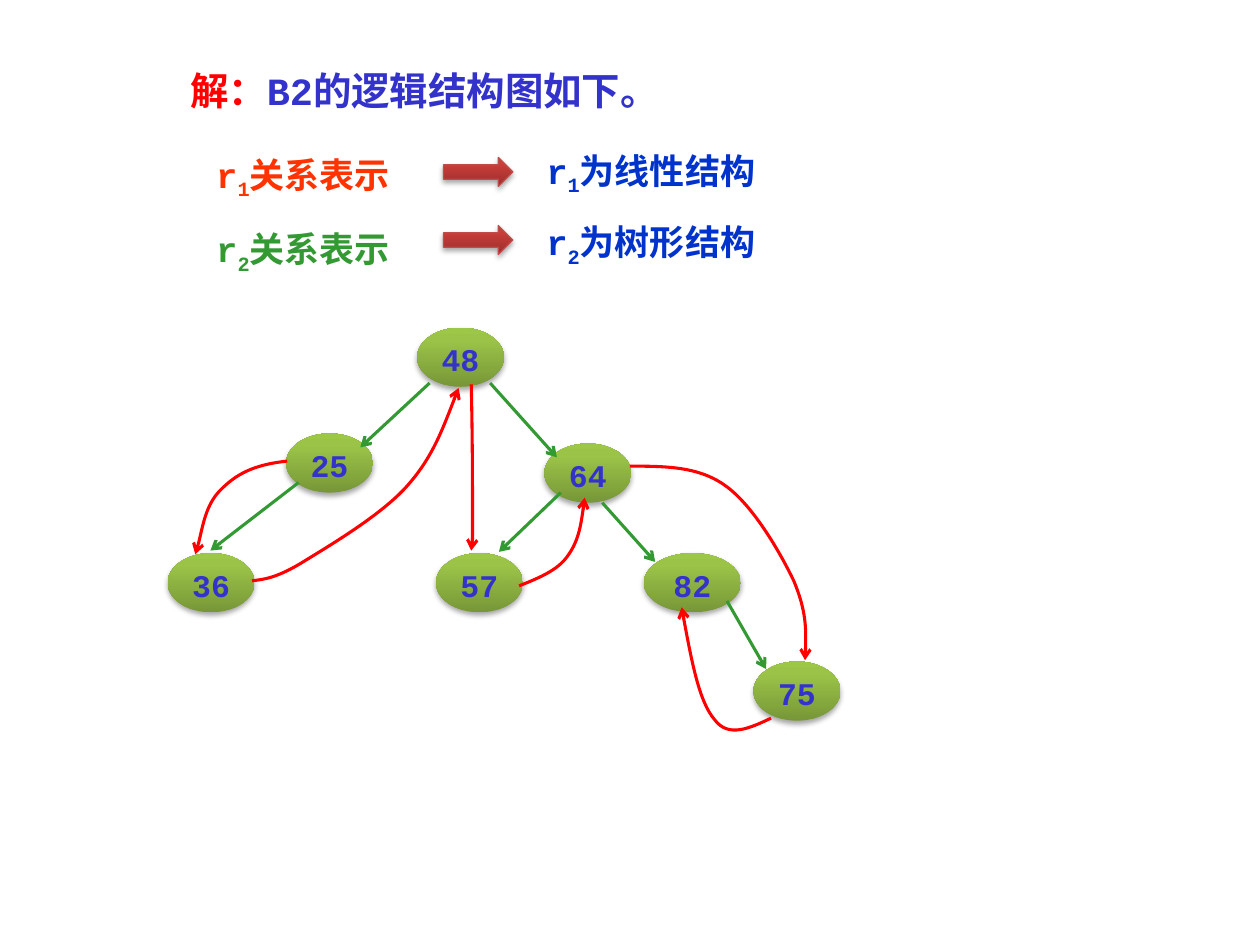
from copy import deepcopy

from lxml import etree
from pptx import Presentation
from pptx.dml.color import RGBColor
from pptx.enum import shapes, text
from pptx.oxml.ns import qn
from pptx.util import Inches, Pt

FONT = "Courier New"
COLORS = {"indigo": "3333CC", "blue": "0033CC", "red": "FF0000",
          "orange": "FF3300", "green": "339933", "arrow_edge": "BF4C48",
          "shadow": "000000"}
NODE_GRADIENT = [("779737", 0), ("9BC348", 0.8), ("9DC746", 1)]
ARROW_GRADIENT = [("9C2F2D", 0), ("CB3E3A", 0.8), ("CE3B37", 1)]

NODE_WIDTH, NODE_HEIGHT = 0.69, 0.47
NODES = [("48", 3.31, 2.6, NODE_WIDTH), ("25", 2.27, 3.44, NODE_WIDTH),
         ("36", 1.33, 4.39, NODE_WIDTH), ("64", 4.32, 3.52, NODE_WIDTH),
         ("57", 3.46, 4.39, NODE_WIDTH), ("82", 5.11, 4.39, 0.77),
         ("75", 5.98, 5.25, NODE_WIDTH)]

TITLE = [("解：", "red"), ("B2的逻辑结构图如下。", "indigo")]
RELATIONS = [
    {"index": "1", "label": "关系表示", "color": "orange", "label_top": 1.17,
     "result": "为线性结构", "arrow_top": 1.25, "result_top": 1.17},
    {"index": "2", "label": "关系表示", "color": "green", "label_top": 1.76,
     "result": "为树形结构", "arrow_top": 1.79, "result_top": 1.74},
]

TREE_EDGES = [((3.41, 3.04), (2.86, 3.55)), ((2.37, 3.83), (1.67, 4.37)),
              ((3.89, 3.04), (4.42, 3.63)), ((4.78, 3.99), (5.2, 4.46)),
              ((4.45, 3.91), (3.96, 4.38)), ((5.77, 4.77), (6.08, 5.31))]
LINEAR_CURVES = [
    [(2.28, 3.66), (2, 3.69), (1.87, 3.77), (1.75, 3.89),
     (1.63, 4.01), (1.59, 4.29), (1.55, 4.4)],
    [(2, 4.61), (2.09, 4.6), (2.19, 4.59), (2.39, 4.47), (2.6, 4.34),
     (3.01, 4.1), (3.22, 3.87), (3.43, 3.64), (3.53, 3.36), (3.64, 3.08)],
    [(3.74, 3.05), (3.75, 3.47), (3.75, 3.89), (3.75, 4.11),
     (3.75, 4.33), (3.75, 4.35), (3.74, 4.37)],
    [(4.12, 4.65), (4.27, 4.59), (4.42, 4.53), (4.5, 4.42),
     (4.59, 4.3), (4.62, 4.12), (4.64, 3.95)],
    [(6.12, 5.7), (5.95, 5.78), (5.78, 5.86), (5.67, 5.71),
     (5.55, 5.57), (5.48, 5.2), (5.41, 4.82)],
    [(5, 3.7), (5.27, 3.7), (5.54, 3.7), (5.75, 3.85), (5.97, 4),
     (6.19, 4.38), (6.3, 4.61), (6.4, 4.85), (6.4, 5.05), (6.39, 5.24)],
]


def rgb(name):
    return RGBColor.from_string(COLORS[name])


def style_font(font, size, color=None):
    font.name, font.size, font.bold = FONT, Pt(size), True
    if color:
        font.color.rgb = rgb(color)


def hang_indent(paragraph):
    properties = paragraph._p.get_or_add_pPr()
    properties.set("marL", str(Inches(0.5)))
    properties.set("indent", str(Inches(-0.5)))


def set_insets(frame, left, top, right, bottom):
    frame.margin_left, frame.margin_top = Inches(left), Inches(top)
    frame.margin_right, frame.margin_bottom = Inches(right), Inches(bottom)


def shade(shape, gradient):
    shape.fill.gradient()
    shape.fill.gradient_angle = 90
    stop_list = shape._element.spPr.find(qn("a:gradFill")).find(qn("a:gsLst"))
    stop_list.append(deepcopy(stop_list[0]))
    for stop, (color, position) in zip(shape.fill.gradient_stops, gradient):
        stop.color.rgb = RGBColor.from_string(color)
        stop.position = position


def cast_shadow(shape):
    shape.shadow.inherit = False
    effects = shape._element.spPr.find(qn("a:effectLst"))
    shadow = etree.SubElement(effects, qn("a:outerShdw"), blurRad=str(Pt(3.1)),
                              dist=str(Pt(1.8)), dir="5400000", rotWithShape="0")
    color = etree.SubElement(shadow, qn("a:srgbClr"), val=COLORS["shadow"])
    etree.SubElement(color, qn("a:alpha"), val="35000")


def add_arrow_line(shape, color):
    shape.line.color.rgb = rgb(color)
    shape.line.width = Pt(1.75)
    etree.SubElement(shape.line._get_or_add_ln(), qn("a:tailEnd"), type="arrow")


def add_node(slide, value, left, top, width):
    node = slide.shapes.add_shape(shapes.MSO_SHAPE.OVAL, Inches(left), Inches(top),
                                  Inches(width), Inches(NODE_HEIGHT))
    shade(node, NODE_GRADIENT)
    node.line.fill.background()
    cast_shadow(node)
    frame = node.text_frame
    frame.word_wrap = True
    frame.vertical_anchor = text.MSO_ANCHOR.MIDDLE
    set_insets(frame, 0, 0, 0, 0)
    paragraph = frame.paragraphs[0]
    paragraph.text = value
    paragraph.alignment = text.PP_ALIGN.CENTER
    paragraph.line_spacing = 1.1
    hang_indent(paragraph)
    style_font(paragraph.font, 18, "indigo")


def add_text(slide, left, top, width, height):
    box = slide.shapes.add_textbox(Inches(left), Inches(top),
                                   Inches(width), Inches(height))
    box.text_frame.word_wrap = True
    box.text_frame.auto_size = text.MSO_AUTO_SIZE.SHAPE_TO_FIT_TEXT
    paragraph = box.text_frame.paragraphs[0]
    paragraph.line_spacing = 0.8
    return box.text_frame, paragraph


def write_relation(paragraph, index, words, color):
    style_font(paragraph.font, 20, color)
    for part in ("r", index, words):
        run = paragraph.add_run()
        run.text = part
        if part == index:
            run.font._element.set("baseline", "-25000")


def add_curve(slide, points):
    start, *rest = [(Inches(x), Inches(y)) for x, y in points]
    builder = slide.shapes.build_freeform(*start)
    builder.add_line_segments(rest, close=False)
    curve = builder.convert_to_shape()
    curve.fill.background()
    curve.shadow.inherit = False
    outline = next(curve._element.iter(qn("a:path")))
    segments = outline.findall(qn("a:lnTo"))
    for first in range(0, len(segments), 3):
        bezier = etree.SubElement(outline, qn("a:cubicBezTo"))
        for segment in segments[first:first + 3]:
            bezier.append(segment[0])
            outline.remove(segment)
    add_arrow_line(curve, "red")


def add_edge(slide, start, end):
    edge = slide.shapes.add_connector(shapes.MSO_CONNECTOR.STRAIGHT,
                                      *map(Inches, start + end))
    add_arrow_line(edge, "green")
    etree.SubElement(edge._element.spPr, qn("a:effectLst"))


def add_relation(slide, relation):
    frame, label = add_text(slide, 1.62, relation["label_top"], 2.13, 0.35)
    set_insets(frame, 0.1, 0.08, 0.1, 0)
    label.alignment = text.PP_ALIGN.JUSTIFY
    hang_indent(label)
    write_relation(label, relation["index"], relation["label"], relation["color"])

    arrow = slide.shapes.add_shape(shapes.MSO_SHAPE.RIGHT_ARROW, Inches(3.52),
                                   Inches(relation["arrow_top"]),
                                   Inches(0.55), Inches(0.23))
    shade(arrow, ARROW_GRADIENT)
    arrow.line.color.rgb = rgb("arrow_edge")
    arrow.line.width = Pt(0.75)
    cast_shadow(arrow)

    _, result = add_text(slide, 4.24, relation["result_top"], 2.58, 0.37)
    write_relation(result, relation["index"], relation["result"], "blue")


def main():
    deck = Presentation()
    deck.slide_width, deck.slide_height = Inches(10), Inches(7.5)
    slide = deck.slides.add_slide(deck.slide_layouts[6])

    for node in NODES:
        add_node(slide, *node)
    _, title = add_text(slide, 1.41, 0.55, 5.31, 0.4)
    style_font(title.font, 22)
    for words, color in TITLE:
        run = title.add_run()
        run.text = words
        run.font.color.rgb = rgb(color)
    for edge in TREE_EDGES:
        add_edge(slide, *edge)
    for points in LINEAR_CURVES:
        add_curve(slide, points)
    for relation in RELATIONS:
        add_relation(slide, relation)

    deck.save("out.pptx")


if __name__ == "__main__":
    main()
